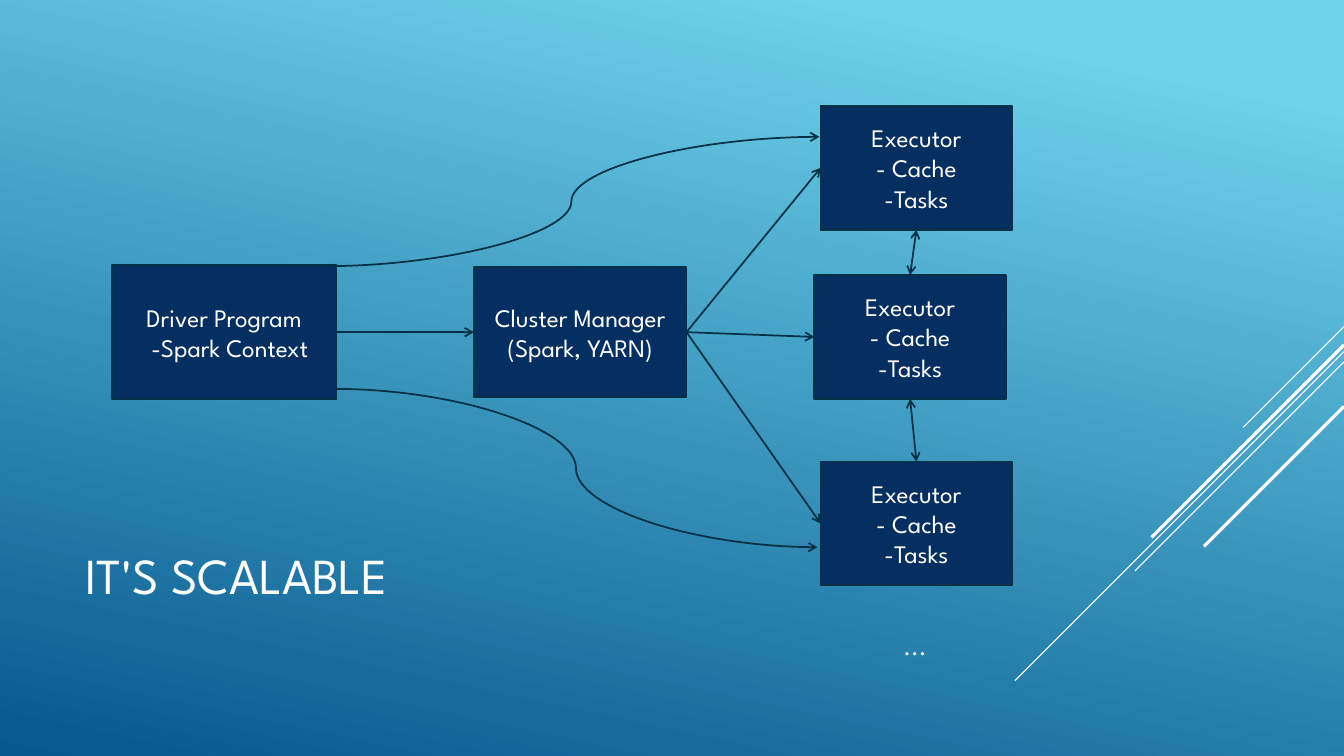
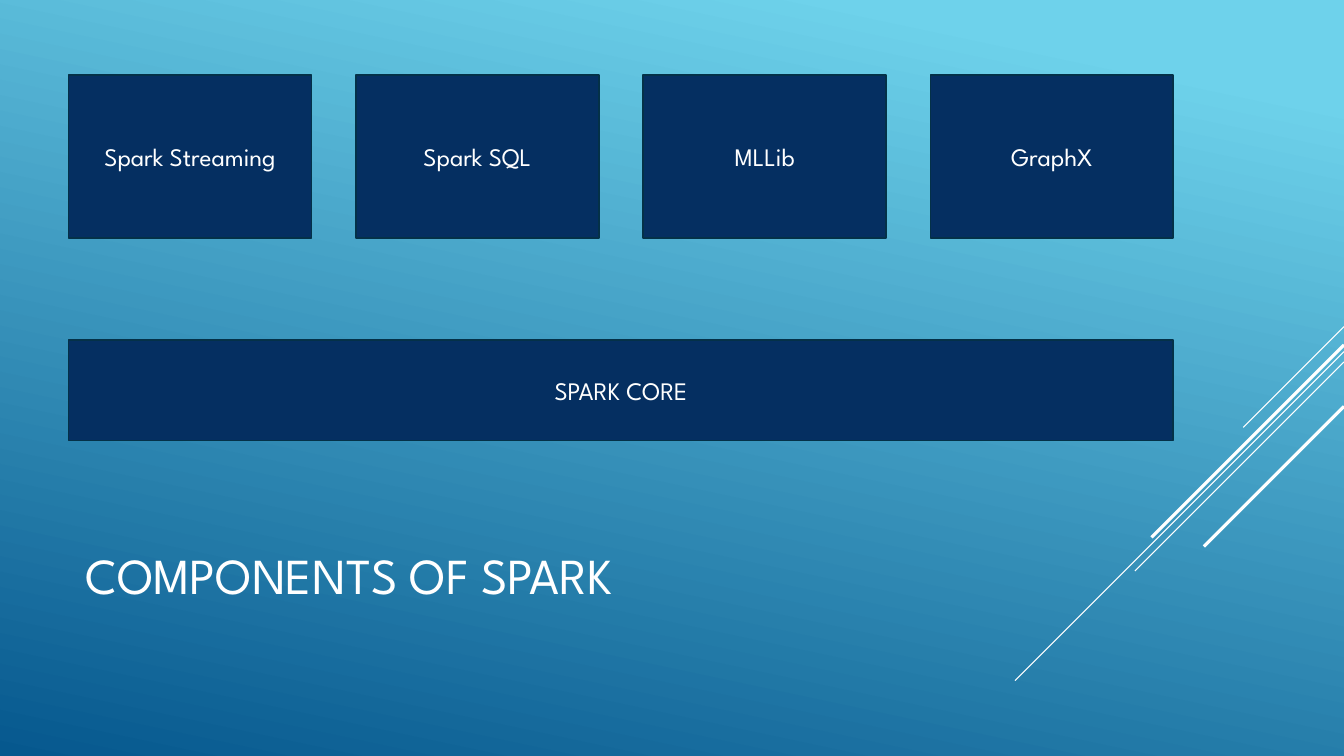
from lxml import etree
from pptx import Presentation
from pptx.dml.color import RGBColor
from pptx.enum.shapes import MSO_CONNECTOR, MSO_SHAPE
from pptx.enum.text import MSO_ANCHOR, PP_ALIGN
from pptx.oxml.ns import qn
from pptx.util import Cm, Pt

RECTANGLE = MSO_SHAPE.RECTANGLE
STRAIGHT, CURVE = MSO_CONNECTOR.STRAIGHT, MSO_CONNECTOR.CURVE
MIDDLE, UPPER = MSO_ANCHOR.MIDDLE, MSO_ANCHOR.TOP
LEFT_ALIGN, CENTER = PP_ALIGN.LEFT, PP_ALIGN.CENTER
TOP, LEFT, BOTTOM, RIGHT = range(4)

FONT = "League Spartan"
WHITE, NAVY, OUTLINE = "FFFFFF", "052F61", "043148"
GRADIENT = [(0.1, "6ED2EB"), (1.0, "06588E")]
WIDTH, HEIGHT = 33.87, 19.05
# Diagonals falling from the right edge: top, extent, line width
DIAGONALS = [(8.23, 2.54, 0.75), (8.86, 8.29, 0.75), (9.12, 5.27, 0.75),
             (8.69, 4.85, 2.25), (10.24, 3.53, 2.25)]


def color(value):
    return RGBColor.from_string(value)


class SlideBuilder:
    """Holds the deck style and the slide being drawn."""

    def __init__(self):
        self.deck = Presentation()
        self.deck.slide_width, self.deck.slide_height = Cm(WIDTH), Cm(HEIGHT)
        self.page = None
        fill = self.deck.slide_master.background.fill
        fill.gradient()
        fill.gradient_angle = 258
        for stop, (position, value) in zip(fill.gradient_stops, GRADIENT):
            stop.position = position
            stop.color.rgb = color(value)

    def new_page(self, title):
        self.page = self.deck.slides.add_slide(self.deck.slide_layouts[6])
        for top, extent, width in DIAGONALS:
            self.line((WIDTH, top), (WIDTH - extent, top + extent), WHITE, width)
        self.label(1.9, 12.47, 23.7, 4.19, title, size=36, align=LEFT_ALIGN,
                   anchor=MIDDLE, spacing=0.9)

    def set_text(self, shape, text, size=18, align=CENTER, anchor=MIDDLE, spacing=None):
        frame = shape.text_frame
        frame.word_wrap = True
        frame.vertical_anchor = anchor
        frame.text = text
        font_format = {"name": FONT, "size": Pt(size)}
        for para in frame.paragraphs:
            para.alignment = align
            para.line_spacing = spacing
            for span in para.runs:
                for name, value in font_format.items():
                    setattr(span.font, name, value)
                span.font.color.rgb = color(WHITE)

    def label(self, left, top, width, height, text, **style):
        box = self.page.shapes.add_textbox(Cm(left), Cm(top), Cm(width), Cm(height))
        self.set_text(box, text, **style)

    def box(self, left, top, width, height, text):
        box = self.page.shapes.add_shape(
            RECTANGLE, Cm(left), Cm(top), Cm(width), Cm(height))
        box.shadow.inherit = False
        box.fill.solid()
        box.fill.fore_color.rgb = color(NAVY)
        box.line.color.rgb = color(OUTLINE)
        box.line.width = Pt(1.25)
        self.set_text(box, text)
        return box

    def line(self, start, end, value=OUTLINE, width=1.25, arrows=(), kind=STRAIGHT):
        """Draw a connector; arrows lists headEnd and/or tailEnd, in that order."""
        points = [Cm(number) for number in (*start, *end)]
        connector = self.page.shapes.add_connector(kind, *points)
        connector.line.color.rgb = color(value)
        connector.line.width = Pt(width)
        properties = connector.element.spPr
        for arrow in arrows:
            etree.SubElement(properties.find(qn("a:ln")), qn("a:" + arrow), type="arrow")
        etree.SubElement(properties, qn("a:effectLst"))
        return connector

    def join(self, source, source_side, target, target_side, arrows=("tailEnd",)):
        connector = self.line((0, 0), (1, 1), arrows=arrows)
        connector.begin_connect(source, source_side)
        connector.end_connect(target, target_side)


def indent(para, distance):
    para._p.get_or_add_pPr().set("marL", str(Cm(distance)))


def build_scalable(slides):
    slides.new_page("IT'S SCALABLE")
    driver = slides.box(2.82, 6.68, 5.66, 3.38, "Driver Program\n-Spark Context")
    indent(driver.text_frame.paragraphs[1], 0.28)
    manager = slides.box(11.94, 6.73, 5.36, 3.28, "Cluster Manager\n(Spark, YARN)")
    executors = [slides.box(left, top, 4.83, 3.12, "Executor\n- Cache\n-Tasks")
                 for left, top in [(20.68, 2.67), (20.52, 6.93), (20.68, 11.63)]]
    slides.label(19.25, 15.75, 7.62, 1.02, "...", anchor=UPPER)

    slides.join(driver, RIGHT, manager, LEFT)
    for executor in executors:
        slides.join(manager, RIGHT, executor, LEFT)
    for upper, lower in zip(executors, executors[1:]):
        slides.join(upper, BOTTOM, lower, TOP, arrows=("headEnd", "tailEnd"))
    for start, end in [((8.15, 6.71), (20.65, 3.45)), ((8.43, 9.8), (20.6, 13.79))]:
        slides.line(start, end, arrows=("tailEnd",), kind=CURVE)


def build_components(slides):
    slides.new_page("COMPONENTS OF SPARK")
    left, total_width, card_width = 1.73, 27.84, 6.12
    components = ["Spark Streaming", "Spark SQL", "MLLib", "GraphX"]
    step = (total_width - card_width) / (len(components) - 1)
    for index, name in enumerate(components):
        slides.box(left + index * step, 1.9, card_width, 4.09, name)
    slides.box(left, 8.56, total_width, 2.54, "SPARK CORE")


def main():
    slides = SlideBuilder()
    build_scalable(slides)
    build_components(slides)
    slides.deck.save("out.pptx")


if __name__ == "__main__":
    main()
